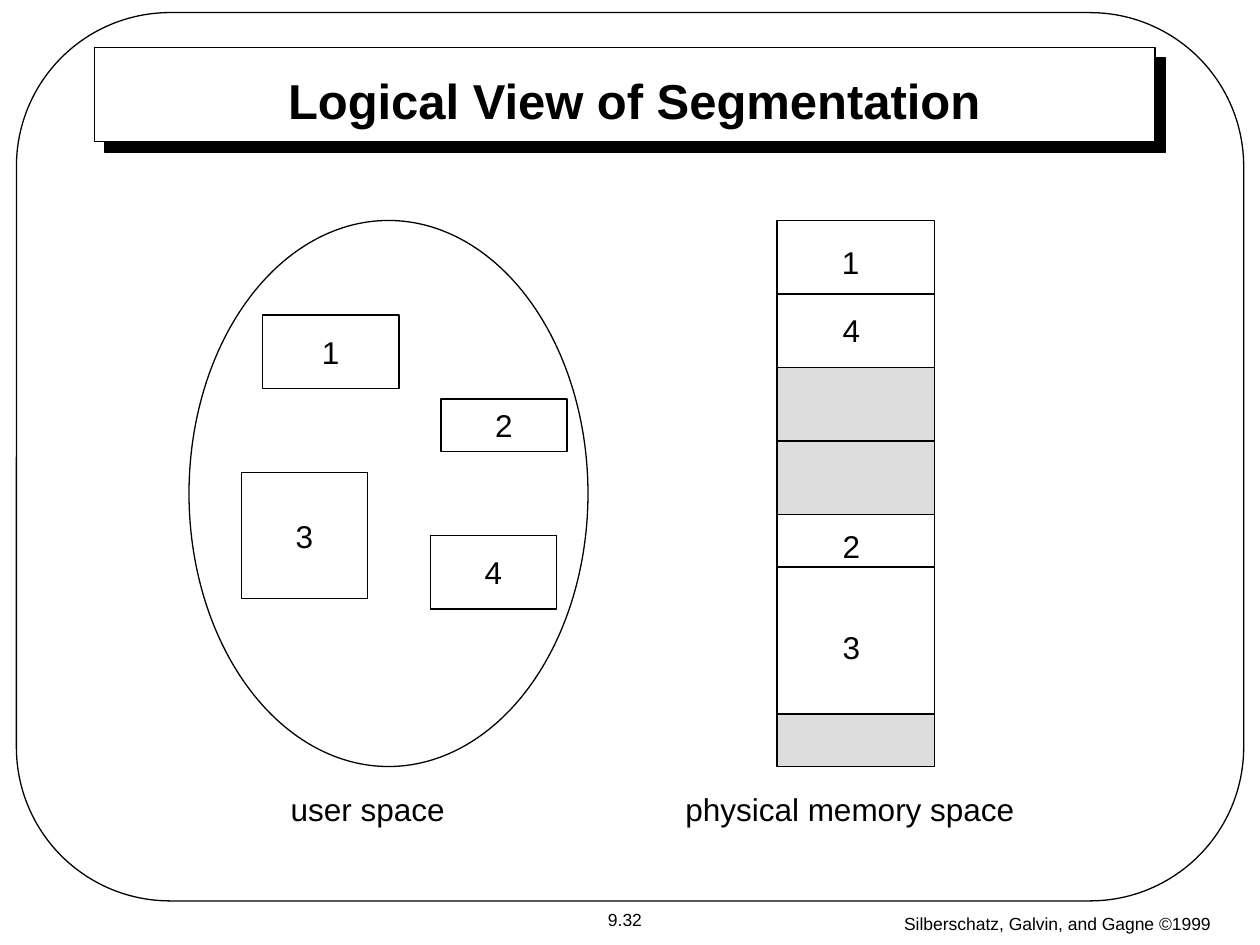
import pptx
import pptx.util
import pptx.dml.color
import pptx.enum.shapes
import pptx.enum.text
import lxml.etree

Pt = pptx.util.Pt
tint = pptx.dml.color.RGBColor.from_string
kinds = pptx.enum.shapes.MSO_SHAPE
middle = pptx.enum.text.MSO_ANCHOR.MIDDLE
center = pptx.enum.text.PP_ALIGN.CENTER
black, white, gray = "000000", "FFFFFF", "DDDDDD"

deck = pptx.Presentation()
deck.slide_width, deck.slide_height = Pt(720), Pt(540)
slide = deck.slides.add_slide(deck.slide_layouts[5])
shapes = slide.shapes


def write(shape, text, size, bold=False, wrap=False):
    frame = shape.text_frame
    frame.text = text
    frame.word_wrap = wrap
    frame.vertical_anchor = middle
    para = frame.paragraphs[0]
    para.alignment = center
    para.font.name = "Arial"
    para.font.size = Pt(size)
    para.font.bold = bold
    para.font.color.rgb = tint(black)


def draw(kind, left, top, width, height, fill=white):
    shape = shapes.add_shape(kind, Pt(left), Pt(top), Pt(width), Pt(height))
    shape.shadow.inherit = False
    shape.fill.solid()
    shape.fill.fore_color.rgb = tint(fill)
    shape.line.color.rgb = tint(black)
    shape.line.width = Pt(0.75)
    return shape


frame = draw(kinds.ROUNDED_RECTANGLE, 9.4, 7.2, 701.3, 507.6)
frame.adjustments[0] = 0.173
frame.fill.background()

panel = draw(kinds.RECTANGLE, 54, 27, 606, 54)
space = "{http://schemas.openxmlformats.org/drawingml/2006/main}"
effects = panel._element.spPr.find(space + "effectLst")
shadow = lxml.etree.SubElement(effects, space + "outerShdw", dist=str(Pt(8.5)),
                               dir="2700000", algn="ctr", rotWithShape="0")
lxml.etree.SubElement(shadow, space + "srgbClr", val=black)

title = shapes.title
title.left, title.top, title.width, title.height = Pt(91.4), Pt(39), Pt(542), Pt(36)
write(title, "Logical View of Segmentation", 28, bold=True, wrap=True)
shapes._spTree.append(title._element)

draw(kinds.OVAL, 108, 126, 228, 312)
for label, left, top, width, height in [
    ("1", 150, 180, 78, 42),
    ("3", 138, 270, 72, 72),
    ("2", 252, 228, 72, 30),
    ("4", 246, 306, 72, 42),
]:
    write(draw(kinds.RECTANGLE, left, top, width, height), label, 18)

left, top, width = 444, 126, 90
for height, fill in [(84, white), (84, gray), (114, white), (30, gray)]:
    draw(kinds.RECTANGLE, left, top, width, height, fill)
    top += height

for top in (168, 252, 324):
    line = shapes.add_connector(pptx.enum.shapes.MSO_CONNECTOR.STRAIGHT,
                                Pt(left), Pt(top), Pt(left + width), Pt(top))
    line.line.color.rgb = tint(black)
    line.line.width = Pt(0.75)
    lxml.etree.SubElement(line._element.spPr, space + "effectLst")

for text, size, left, top, width, height in [
    ("1", 18, 473.8, 135.4, 24.5, 29),
    ("4", 18, 474.3, 174.2, 24.5, 29),
    ("2", 18, 474.3, 297.4, 24.5, 29),
    ("3", 18, 474.3, 355, 24.5, 29),
    ("user space", 18, 156.6, 448, 107, 29),
    ("physical memory space", 18, 384.5, 448, 202.3, 29),
    ("9.32", 10, 323.3, 515.5, 67.7, 19.4),
    ("Silberschatz, Galvin, and Gagne ©1999", 10, 490.2, 515.5, 228, 25),
]:
    note = shapes.add_textbox(Pt(left), Pt(top), Pt(width), Pt(height))
    write(note, text, size)

deck.save("out.pptx")
